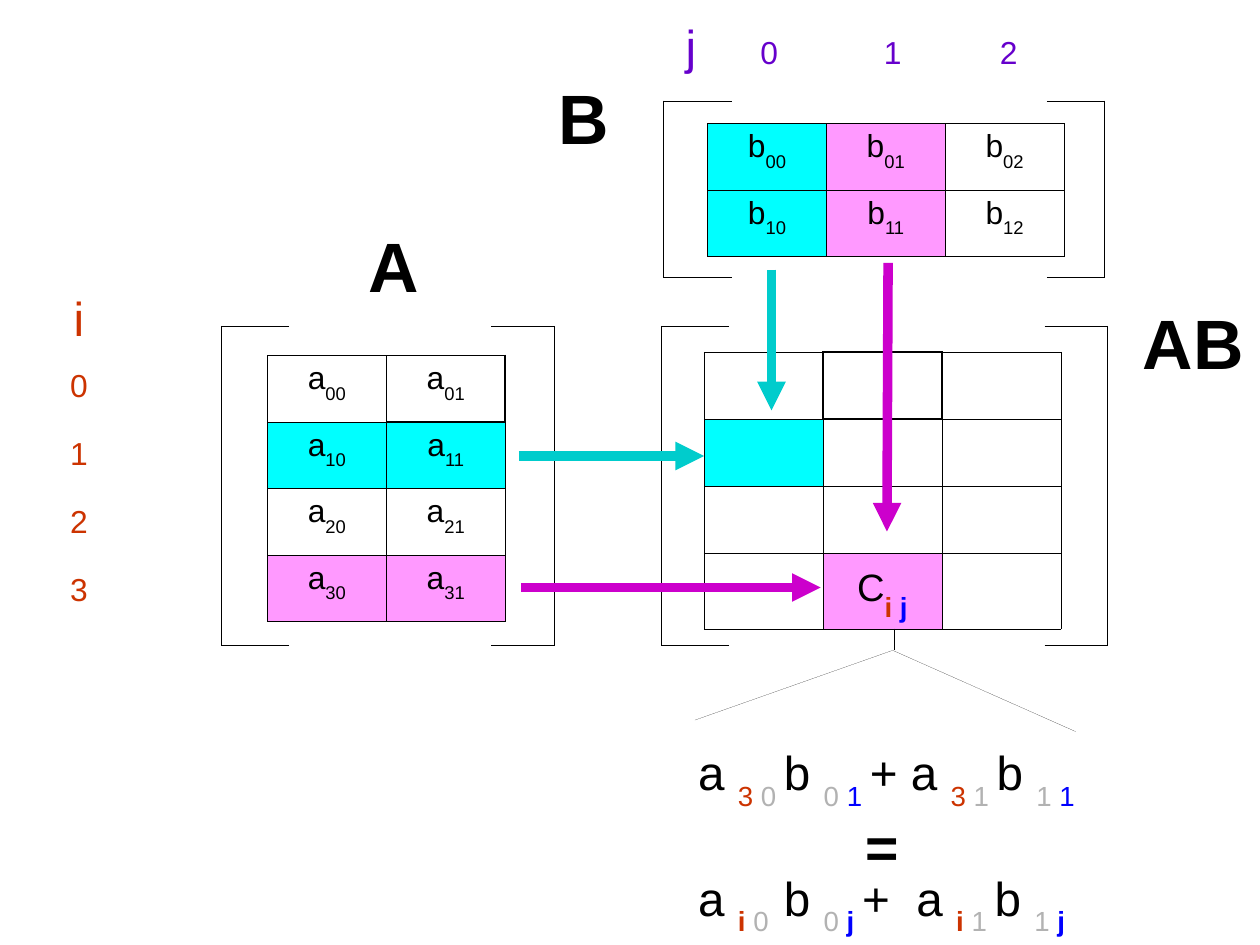
from lxml.etree import SubElement
from pptx import Presentation
from pptx.dml.color import RGBColor
from pptx.enum.shapes import MSO_CONNECTOR
from pptx.enum.text import MSO_ANCHOR, MSO_AUTO_SIZE, PP_ALIGN
from pptx.oxml import parse_xml
from pptx.oxml.ns import nsdecls, qn
from pptx.util import Cm, Inches, Pt

# Grid: columns and rows of a tenth of an inch
GRID = Inches(0.1)
CELL_W, CELL_H, PRODUCT_H = 10.4, 5.82, 5.86
HAIRLINE, FRAME = 0.06, 1.13

BLACK = RGBColor(0x00, 0x00, 0x00)
CYAN = RGBColor(0x00, 0xFF, 0xFF)
PINK = RGBColor(0xFF, 0x99, 0xFF)
TEAL = RGBColor(0x00, 0xCC, 0xCC)
MAGENTA = RGBColor(0xCC, 0x00, 0xCC)
RED = RGBColor(0xCC, 0x33, 0x00)
BLUE = RGBColor(0x00, 0x00, 0xFF)
GREY = RGBColor(0xB2, 0xB2, 0xB2)
VIOLET = RGBColor(0x66, 0x00, 0xCC)

# Run styles: colour, bold, subscript
STYLES = {
    "main": (BLACK, False, False),
    "title": (BLACK, True, False),
    "row": (RED, False, False),
    "col": (VIOLET, False, False),
    "sub": (BLACK, False, True),
    "grey": (GREY, False, True),
    "row_no": (RED, False, True),
    "col_no": (BLUE, False, True),
    "row_var": (RED, True, True),
    "col_var": (BLUE, True, True),
}


def write(p, runs):
    """Add runs of (text, style, size, letter spacing) to a paragraph."""
    for text, style, size, *spacing in runs:
        color, bold, sub = STYLES[style]
        r = p.add_run()
        r.text = text
        fmt = {"name": "Arial", "size": Pt(size), "bold": bold}
        for key, value in fmt.items():
            setattr(r.font, key, value)
        r.font.color.rgb = color
        if sub:
            r._r.get_or_add_rPr().set("baseline", "-33000")
        if spacing:
            r._r.get_or_add_rPr().set("spc", str(spacing[0]))


def add_line(shapes, x1, y1, x2, y2, color=BLACK, width=HAIRLINE, arrow=False):
    ends = [round(v * GRID) for v in (x1, y1, x2, y2)]
    sp = shapes.add_connector(MSO_CONNECTOR.STRAIGHT, *ends)
    sp.line.color.rgb = color
    sp.line.width = Pt(width)
    spPr = sp._element.spPr
    if arrow:
        SubElement(spPr.find(qn("a:ln")), qn("a:tailEnd"), type="triangle")
    SubElement(spPr, qn("a:effectLst"))


prs = Presentation()
prs.slide_width, prs.slide_height = Cm(28), Cm(21)
s = prs.slides.add_slide(prs.slide_layouts[6])

# Cell contents of the matrices and of the index headers
a_cells = {(i, j): [("a", "main", 20), (f"{i}{j}", "sub", 20)]
           for i in range(4) for j in range(2)}
b_cells = {(i, j): [("b", "main", 20), (f"{i}{j}", "sub", 20)]
           for i in range(2) for j in range(3)}
ab_cells = {(3, 1): [("C", "main", 24), ("i ", "row_var", 30),
                     ("j", "col_var", 30)]}
i_cells = {(n, 0): [(t, "row", 20 if n else 30)] for n, t in enumerate("i0123")}
j_cells = {(0, n): [(t, "col", 20 if n else 30)] for n, t in enumerate("j012")}

a_fills = {(i, j): color for i, color in ((1, CYAN), (3, PINK)) for j in range(2)}
b_fills = {(i, j): color for j, color in ((0, CYAN), (1, PINK)) for i in range(2)}
ab_fills = {(1, 0): CYAN, (3, 1): PINK}

# Tables: left, top, columns, rows, texts, fills, heavily framed cell, is matrix
tables = [
    (23.4, 31.1, [CELL_W] * 2, [CELL_H] * 4, a_cells, a_fills, (0, 1), True),
    (61.9, 10.8, [CELL_W] * 3, [CELL_H] * 2, b_cells, b_fills, None, True),
    (61.6, 30.8, [CELL_W] * 3, [PRODUCT_H] * 3 + [6.6], ab_cells, ab_fills,
     (0, 1), True),
    (1.1, 23.8, [11.6], [7] + [5.95] * 4, i_cells, {}, None, False),
    (51.1, 1.4, [10.8] * 3 + [9.5], [6.5], j_cells, {}, None, False),
]
SIDES = {"lnL": (0, -1), "lnR": (0, 1), "lnT": (-1, 0), "lnB": (1, 0)}
for x, y, cols, rows, texts, fills, heavy, matrix in tables:
    box = [round(v * GRID) for v in (x, y, sum(cols), sum(rows))]
    table = s.shapes.add_table(len(rows), len(cols), *box).table
    table.first_row = table.horz_banding = False
    for col, w in zip(table.columns, cols):
        col.width = round(w * GRID)
    for row, h in zip(table.rows, rows):
        row.height = round(h * GRID)
    for i in range(len(rows)):
        for j in range(len(cols)):
            cell = table.cell(i, j)
            runs = texts.get((i, j), [])
            p = cell.text_frame.paragraphs[0]
            p.alignment = PP_ALIGN.CENTER
            write(p, runs)
            if not matrix:
                cell.vertical_anchor = MSO_ANCHOR.MIDDLE
                if runs[0][0] == "i":
                    cell.vertical_anchor = MSO_ANCHOR.BOTTOM
                elif runs[0][0] == "j":
                    cell.vertical_anchor = MSO_ANCHOR.TOP
                    p.alignment = PP_ALIGN.RIGHT
            if (i, j) in fills:
                cell.fill.solid()
                cell.fill.fore_color.rgb = fills[i, j]
            else:
                cell.fill.background()
            # Borders stand before the fill in the cell properties
            for n, (side, (di, dj)) in enumerate(SIDES.items()):
                thick = heavy in ((i, j), (i + di, j + dj))
                paint = (f'<a:solidFill><a:srgbClr val="{BLACK}"/></a:solidFill>'
                         if matrix else "<a:noFill/>")
                width = Pt(FRAME if thick else HAIRLINE)
                cell._tc.get_or_add_tcPr().insert(n, parse_xml(
                    f'<a:{side} {nsdecls("a")} w="{width}">{paint}</a:{side}>'))

# Brackets: spine, tip, top, bottom
brackets = [
    (57.8, 63.8, 28.5, 56.4), (96.9, 91.4, 28.5, 56.4),
    (19.3, 25.3, 28.5, 56.4), (48.5, 43, 28.5, 56.4),
    (58, 64, 8.8, 24.2), (96.6, 91.6, 8.8, 24.2),
]
for spine, tip, top, bottom in brackets:
    group = s.shapes.add_group_shape().shapes
    add_line(group, tip, top, spine, top)
    add_line(group, tip, bottom, spine, bottom)
    add_line(group, spine, top, spine, bottom + 0.1)

# Arrows from the factors to the product
for *ends, color in [
    (45.6, 51.4, 71.8, 51.4, MAGENTA),
    (45.4, 39.9, 61.6, 39.9, TEAL),
    (67.5, 23.6, 67.5, 35.9, TEAL),
    (77.7, 23, 77.6, 46.5, MAGENTA),
]:
    add_line(s.shapes, *ends, color, 6, True)

# Lines that open the cell into its formula
for ends in [(78.1, 56.9, 60.8, 63), (78.1, 56.9, 94.1, 64),
             (78.2, 55, 78.2, 56.9)]:
    add_line(s.shapes, *ends)

# Matrix names and formulas
numbers = [("a ", "main", 30), ("3 ", "row_no", 30), ("0 ", "grey", 30),
           ("b ", "main", 30), ("0 ", "grey", 30), ("1 ", "col_no", 30),
           ("+ a ", "main", 30), ("3 ", "row_no", 30), ("1 ", "grey", 30),
           ("b ", "main", 30), ("1 ", "grey", 30), ("1", "col_no", 30)]
variables = [("a ", "main", 30), ("i ", "row_var", 30), ("0 ", "grey", 30, 240),
             ("b ", "main", 30), ("0", "grey", 30), (" j ", "col_var", 30),
             ("+ ", "main", 30, 420), ("a ", "main", 30), ("i ", "row_var", 30),
             ("1 ", "grey", 30), ("b ", "main", 30), ("1 ", "grey", 30),
             ("j", "col_var", 30)]
for x, y, w, h, wrap, runs in [
    (31.3, 19, 6, 7.8, True, [("A", "title", 44)]),
    (47.9, 6, 6, 7.8, True, [("B", "title", 44)]),
    (99, 25.7, 10.9, 9.5, True, [("AB", "title", 44)]),
    (60.1, 64.5, 35.1, 6.6, False, numbers),
    (74.7, 70.5, 4.9, 6.6, False, [("=", "title", 36)]),
    (60.1, 75.5, 34.2, 6.6, False, variables),
]:
    tf = s.shapes.add_textbox(*[round(v * GRID) for v in (x, y, w, h)]).text_frame
    tf.word_wrap = wrap
    tf.auto_size = MSO_AUTO_SIZE.SHAPE_TO_FIT_TEXT
    write(tf.paragraphs[0], runs)

prs.save("out.pptx")
